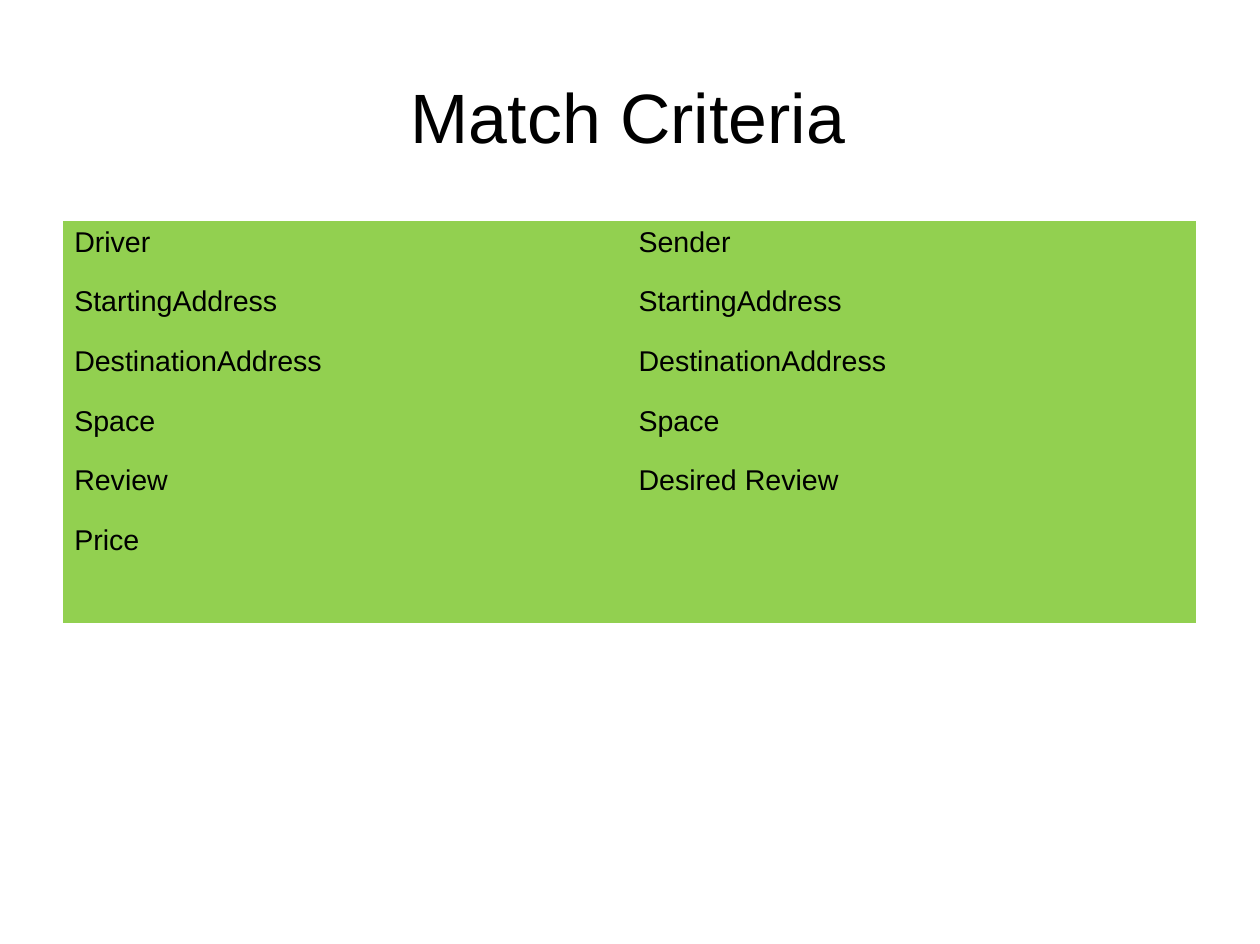
from typing import NamedTuple

from lxml import etree
from pptx import Presentation
from pptx.dml.color import RGBColor
from pptx.enum.text import MSO_ANCHOR, MSO_AUTO_SIZE, PP_ALIGN
from pptx.oxml.ns import qn
from pptx.util import Inches, Pt

CENTER = PP_ALIGN.CENTER
TOP = MSO_ANCHOR.TOP
FIXED = MSO_AUTO_SIZE.NONE

FONT = "Arial"
BLACK = "000000"
GREEN = "92D050"
TITLE_ONLY = 5
WIDTHS = (4.94, 4.98)
HEIGHT = 3.52
LAST = 0.91


class Match(NamedTuple):
    driver: str
    sender: str


MATCHES = (
    Match("Driver", "Sender"),
    Match("StartingAddress", "StartingAddress"),
    Match("DestinationAddress", "DestinationAddress"),
    Match("Space", "Space"),
    Match("Review", "Desired Review"),
    Match("Price", ""),
)


def color(target, value: str) -> None:
    target.rgb = RGBColor.from_string(value)


def add_run(para, text: str, size: float) -> None:
    run = para.add_run()
    run.text = text
    run.font.name = FONT
    run.font.size = Pt(size)
    color(run.font.color, BLACK)


def clear_borders(cell) -> None:
    props = cell._tc.get_or_add_tcPr()
    for i, side in enumerate(("lnL", "lnR", "lnT", "lnB")):
        line = etree.Element(qn(f"a:{side}"), w="0")
        etree.SubElement(line, qn("a:noFill"))
        props.insert(i, line)


def fill_cell(cell, text: str) -> None:
    cell.fill.solid()
    color(cell.fill.fore_color, GREEN)
    clear_borders(cell)
    if text:
        add_run(cell.text_frame.paragraphs[0], text, 18)


def add_title(slide, text: str) -> None:
    title = slide.shapes.title
    title.left, title.top = Inches(3.4), Inches(0.7)
    title.width, title.height = Inches(4.2), Inches(0.68)
    frame = title.text_frame
    frame.margin_left = frame.margin_right = frame.margin_top = 0
    frame.margin_bottom = 0
    frame.word_wrap = True
    frame.auto_size = FIXED
    frame.vertical_anchor = TOP
    para = frame.paragraphs[0]
    para.alignment = CENTER
    para.line_spacing = Pt(49)
    add_run(para, text, 44)


def add_matches(slide) -> None:
    count = len(MATCHES) - 1
    heights = [(HEIGHT - LAST) / count] * count + [LAST]
    table = slide.shapes.add_table(
        len(MATCHES), len(WIDTHS), Inches(0.55), Inches(1.93),
        Inches(sum(WIDTHS)), Inches(HEIGHT)).table
    table.first_row = table.horz_banding = False
    for col, width in zip(table.columns, WIDTHS):
        col.width = Inches(width)
    for row, height, match in zip(table.rows, heights, MATCHES):
        row.height = Inches(height)
        for cell, text in zip(row.cells, match):
            fill_cell(cell, text)


def main() -> None:
    deck = Presentation()
    deck.slide_width, deck.slide_height = Inches(11.03), Inches(8.26)
    slide = deck.slides.add_slide(deck.slide_layouts[TITLE_ONLY])
    add_title(slide, "Match Criteria")
    add_matches(slide)
    deck.save("out.pptx")


if __name__ == "__main__":
    main()
